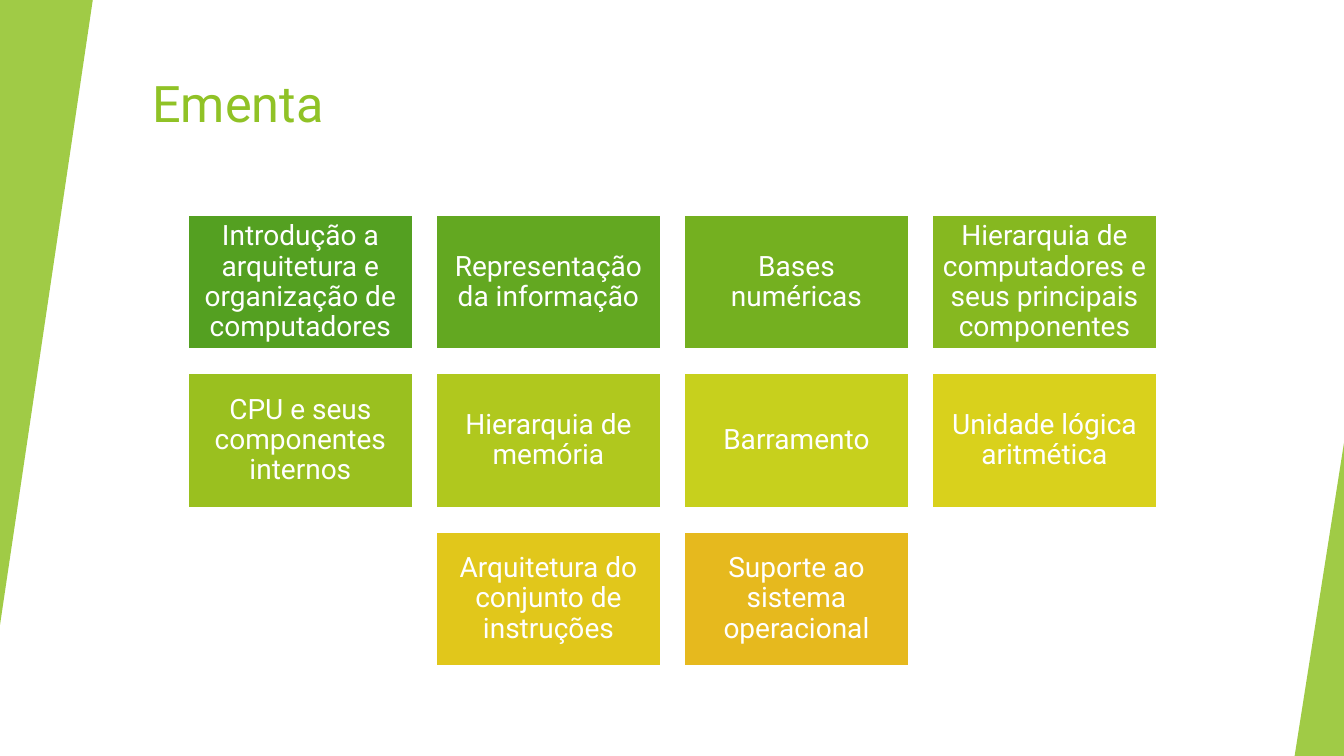
"""Build the course syllabus slide, a grid of ten topic tiles."""
from dataclasses import dataclass

from lxml import etree
from pptx import Presentation
from pptx.dml.color import RGBColor
from pptx.enum.shapes import MSO_SHAPE
from pptx.enum.text import MSO_ANCHOR, MSO_AUTO_SIZE, PP_ALIGN
from pptx.oxml.ns import qn
from pptx.util import Inches, Pt

RECT, WEDGE = MSO_SHAPE.RECTANGLE, MSO_SHAPE.ISOSCELES_TRIANGLE
LEFT, CENTER = PP_ALIGN.LEFT, PP_ALIGN.CENTER
TOP, MIDDLE = MSO_ANCHOR.TOP, MSO_ANCHOR.MIDDLE
NO_FIT = MSO_AUTO_SIZE.NONE


@dataclass(frozen=True)
class Theme:
    font: str = "Roboto"
    green: str = "90C226"
    white: str = "FFFFFF"
    title: int = 36
    body: int = 20
    edge: int = 2
    alpha: int = 85


@dataclass(frozen=True)
class Box:
    x: float
    y: float
    w: float
    h: float

    def place(self) -> tuple:
        return Inches(self.x), Inches(self.y), Inches(self.w), Inches(self.h)


@dataclass(frozen=True)
class Side:
    box: Box
    turn: int


@dataclass(frozen=True)
class Topic:
    text: str
    fill: str


THEME = Theme()
WIDTH, HEIGHT = 13.33, 7.5
TITLE = Box(1.41, 0.67, 11.15, 1.2)
TILE = Box(1.86, 2.13, 2.24, 1.34)
COLS, STEP_X, STEP_Y, INSET = 4, 2.46, 1.57, 0.08
SIDES = [
    Side(Box(0, 0, 0.92, 6.2), 180),
    Side(Box(WIDTH - 0.49, HEIGHT - 3.11, 0.49, 3.11), 0),
]
TOPICS = [
    Topic("Introdução a arquitetura e organização de computadores", "54A021"),
    Topic("Representação da informação", "63A821"),
    Topic("Bases numéricas", "74B020"),
    Topic("Hierarquia de computadores e seus principais componentes", "86B820"),
    Topic("CPU e seus componentes internos", "9AC01F"),
    Topic("Hierarquia de memória", "B0C81E"),
    Topic("Barramento", "C7D01D"),
    Topic("Unidade lógica aritmética", "D9D11C"),
    Topic("Arquitetura do conjunto de instruções", "E1C71B"),
    Topic("Suporte ao sistema operacional", "E6B91E"),
]


def add_form(slide, kind, box: Box, fill: str):
    form = slide.shapes.add_shape(kind, *box.place())
    form.shadow.inherit = False
    form.fill.solid()
    form.fill.fore_color.rgb = RGBColor.from_string(fill)
    return form


def set_text(shape, text: str, size: int, color: str, align, anchor) -> None:
    frame = shape.text_frame
    frame.text = text
    frame.word_wrap = True
    frame.auto_size = NO_FIT
    frame.vertical_anchor = anchor
    para = frame.paragraphs[0]
    para.alignment = align
    font = para.runs[0].font
    font.name, font.size = THEME.font, Pt(size)
    font.color.rgb = RGBColor.from_string(color)


def add_title(slide, text: str) -> None:
    title = slide.shapes.title
    title.left, title.top, title.width, title.height = TITLE.place()
    set_text(title, text, THEME.title, THEME.green, LEFT, TOP)


def add_side(slide, side: Side) -> None:
    wedge = add_form(slide, WEDGE, side.box, THEME.green)
    wedge.adjustments[0] = 1
    wedge.rotation = side.turn
    wedge.line.fill.background()
    color = wedge.fill._xPr.find(qn("a:solidFill"))[0]
    etree.SubElement(color, qn("a:alpha"), val=str(THEME.alpha * 1000))


def add_topic(slide, topic: Topic, box: Box) -> None:
    tile = add_form(slide, RECT, box, topic.fill)
    tile.line.color.rgb = RGBColor.from_string(THEME.white)
    tile.line.width = Pt(THEME.edge)
    set_text(tile, topic.text, THEME.body, THEME.white, CENTER, MIDDLE)
    frame = tile.text_frame
    frame.margin_left = frame.margin_right = Inches(INSET)
    frame.margin_top = frame.margin_bottom = Inches(INSET)
    frame.paragraphs[0].line_spacing = 0.9


def add_grid(slide) -> None:
    for row, start in enumerate(range(0, len(TOPICS), COLS)):
        line = TOPICS[start:start + COLS]
        shift = (COLS - len(line)) / 2
        for col, topic in enumerate(line):
            x = TILE.x + (col + shift) * STEP_X
            y = TILE.y + row * STEP_Y
            add_topic(slide, topic, Box(x, y, TILE.w, TILE.h))


def main() -> None:
    deck = Presentation()
    deck.slide_width, deck.slide_height = Inches(WIDTH), Inches(HEIGHT)
    slide = deck.slides.add_slide(deck.slide_layouts[5])
    add_title(slide, "Ementa")
    for side in SIDES:
        add_side(slide, side)
    add_grid(slide)
    deck.save("out.pptx")


main()
